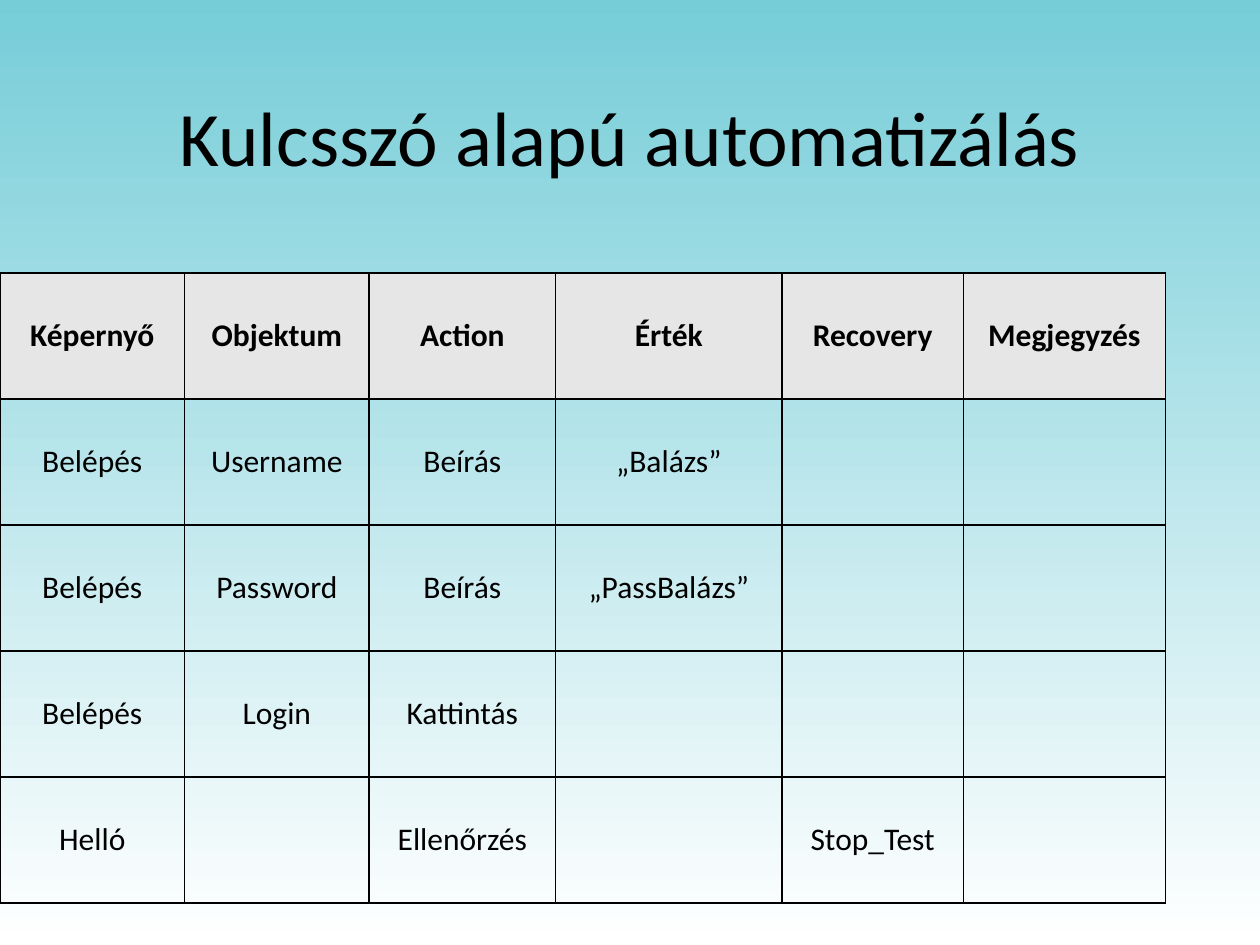
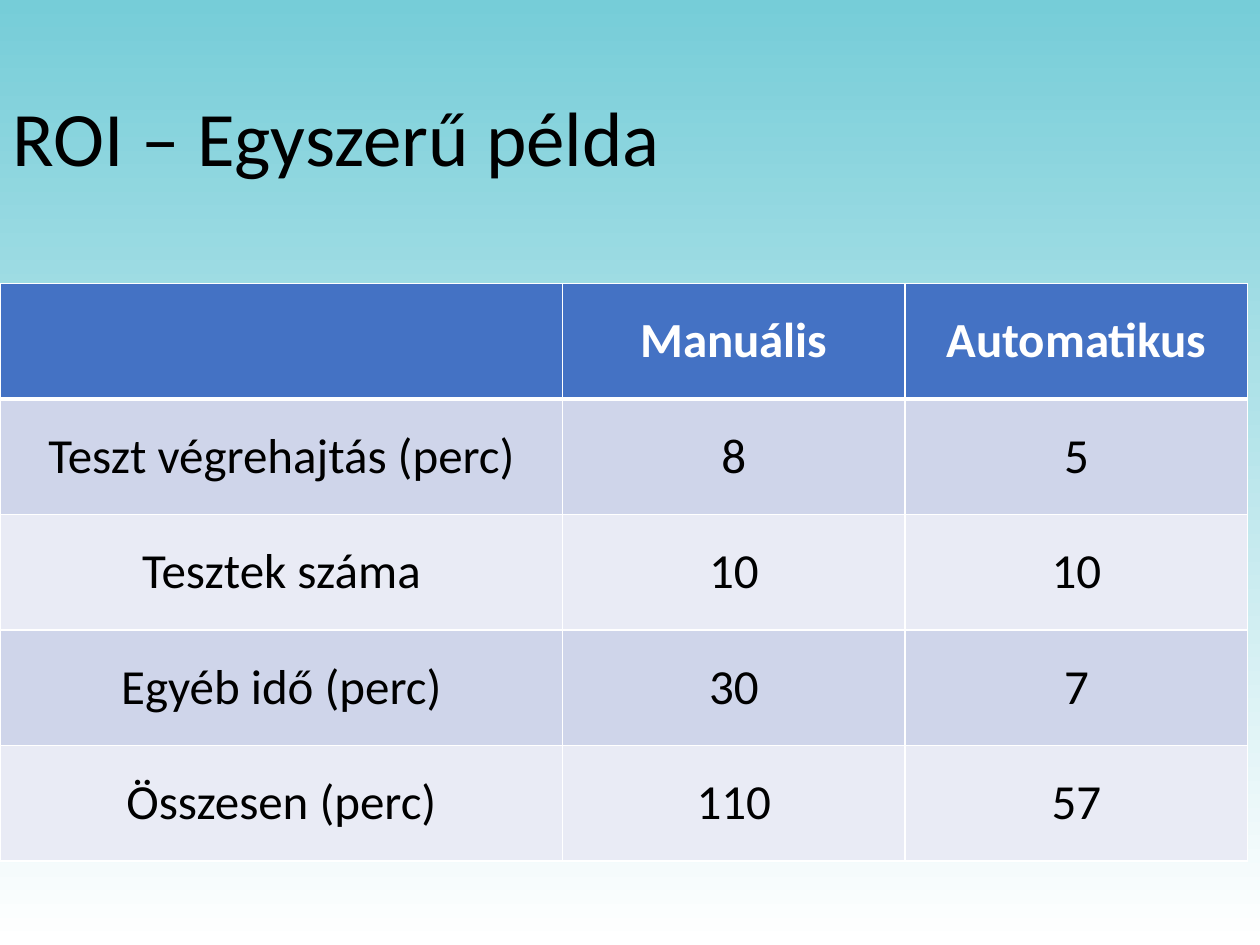
import pptx
import pptx.dml.color
import pptx.enum.text
import pptx.oxml
import pptx.oxml.ns
import pptx.util
from dataclasses import dataclass

Pt = pptx.util.Pt
RGBColor = pptx.dml.color.RGBColor
PP_ALIGN = pptx.enum.text.PP_ALIGN
MSO_ANCHOR = pptx.enum.text.MSO_ANCHOR

FONT = "Calibri"
TEAL = RGBColor(0x76, 0xCD, 0xD8)
WHITE = RGBColor(0xFF, 0xFF, 0xFF)
BLACK = RGBColor(0x00, 0x00, 0x00)
GREY = RGBColor(0xE7, 0xE6, 0xE6)
BLUE = RGBColor(0x44, 0x72, 0xC4)
DARK_BAND = RGBColor(0xCF, 0xD5, 0xEA)
LIGHT_BAND = RGBColor(0xE9, 0xEB, 0xF5)


@dataclass
class TableStyle:
    size: int
    header_fill: RGBColor
    header_color: RGBColor
    body_fills: tuple
    border_color: RGBColor
    header_rule: int


KEYWORD_STYLE = TableStyle(18, GREY, BLACK, (None,), BLACK, 1)
ROI_STYLE = TableStyle(28, BLUE, WHITE, (DARK_BAND, LIGHT_BAND), WHITE, 3)

KEYWORD_ROWS = [
    ("Képernyő", "Objektum", "Action", "Érték", "Recovery", "Megjegyzés"),
    ("Belépés", "Username", "Beírás", "„Balázs”", "", ""),
    ("Belépés", "Password", "Beírás", "„PassBalázs”", "", ""),
    ("Belépés", "Login", "Kattintás", "", "", ""),
    ("Helló", "", "Ellenőrzés", "", "Stop_Test", ""),
]
ROI_ROWS = [
    ("", "Manuális", "Automatikus"),
    ("Teszt végrehajtás (perc)", "8", "5"),
    ("Tesztek száma", "10", "10"),
    ("Egyéb idő (perc)", "30", "7"),
    ("Összesen (perc)", "110", "57"),
]


def set_background(master):
    fill = master.background.fill
    fill.gradient()
    fill.gradient_angle = 270
    for stop, color, position in zip(fill.gradient_stops, (TEAL, WHITE), (0, 1)):
        stop.color.rgb = color
        stop.position = position


def format_runs(paragraph, size, color, bold=False):
    for run in paragraph.runs:
        run.font.name = FONT
        run.font.size = Pt(size)
        run.font.bold = bold
        run.font.color.rgb = color


def add_titled_slide(presentation, text, width, alignment):
    slide = presentation.slides.add_slide(presentation.slide_layouts[5])
    title = slide.shapes.title
    title.left, title.top, title.width, title.height = Pt(0), Pt(28.75), Pt(width), Pt(104.4)
    title.text_frame.text = text
    title.text_frame.vertical_anchor = MSO_ANCHOR.MIDDLE
    paragraph = title.text_frame.paragraphs[0]
    paragraph.alignment = alignment
    paragraph.line_spacing = 0.9
    format_runs(paragraph, 44, BLACK)
    return slide


def set_border(cell, side, color, width):
    properties = cell._tc.get_or_add_tcPr()
    properties.append(pptx.oxml.parse_xml(
        f'<a:ln{side} {pptx.oxml.ns.nsdecls("a")} w="{Pt(width)}">'
        f'<a:solidFill><a:srgbClr val="{color}"/></a:solidFill></a:ln{side}>'))


def format_cell(cell, text, row, style):
    is_header = row == 0
    for side in "LRTB":
        at_header_rule = (row, side) in ((0, "B"), (1, "T"))
        set_border(cell, side, style.border_color, style.header_rule if at_header_rule else 1)
    fill = style.header_fill if is_header else style.body_fills[(row - 1) % len(style.body_fills)]
    if fill is None:
        cell.fill.background()
    else:
        cell.fill.solid()
        cell.fill.fore_color.rgb = fill
    cell.text_frame.text = text
    cell.vertical_anchor = MSO_ANCHOR.MIDDLE
    paragraph = cell.text_frame.paragraphs[0]
    paragraph.alignment = PP_ALIGN.CENTER
    format_runs(paragraph, style.size, style.header_color if is_header else BLACK, is_header)


def add_styled_table(slide, top, column_widths, row_height, rows, style):
    frame = slide.shapes.add_table(
        len(rows), len(column_widths), Pt(0), Pt(top),
        Pt(sum(column_widths)), Pt(row_height * len(rows)))
    table = frame.table
    table.first_row = table.horz_banding = False
    for column, width in zip(table.columns, column_widths):
        column.width = Pt(width)
    for row, texts in enumerate(rows):
        table.rows[row].height = Pt(row_height)
        for column, text in enumerate(texts):
            format_cell(table.cell(row, column), text, row, style)


def add_keyword_slide(presentation):
    slide = add_titled_slide(presentation, "Kulcsszó alapú automatizálás", 720, PP_ALIGN.CENTER)
    widths = (105.5, 105.5, 106.5, 129.5, 103.5, 115.5)
    add_styled_table(slide, 156, widths, 72, KEYWORD_ROWS, KEYWORD_STYLE)


def add_roi_slide(presentation):
    slide = add_titled_slide(presentation, "ROI – Egyszerű példa", 620.6, PP_ALIGN.LEFT)
    add_styled_table(slide, 162, (321.5, 195.75, 195.75), 66, ROI_ROWS, ROI_STYLE)


def main():
    presentation = pptx.Presentation()
    presentation.slide_width, presentation.slide_height = Pt(720), Pt(540)
    set_background(presentation.slide_master)
    add_keyword_slide(presentation)
    add_roi_slide(presentation)
    presentation.save("out.pptx")


if __name__ == "__main__":
    main()
